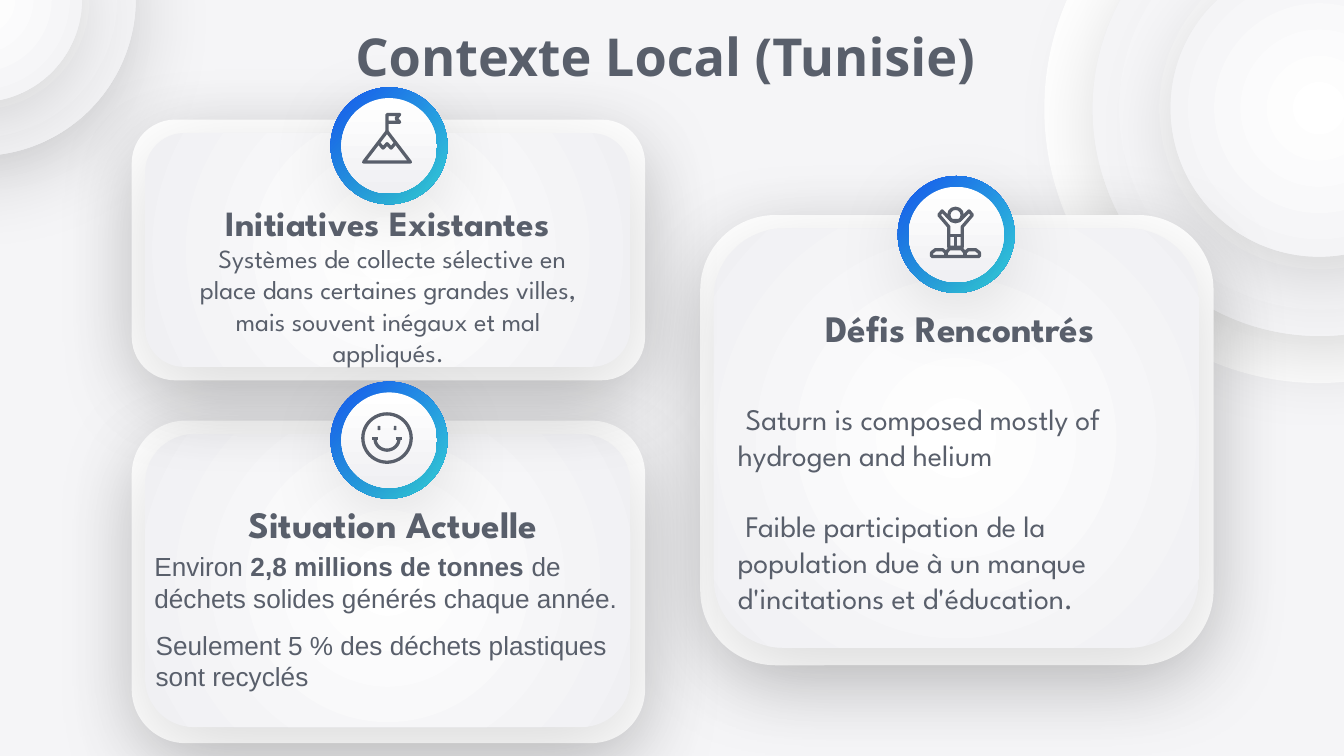
"""Build the slide on the local context of waste sorting in Tunisia."""
import math
from pptx import Presentation, util as u
from pptx.dml.color import RGBColor
from pptx.enum import shapes as s, text as t
from pptx.oxml import parse_xml
from pptx.oxml.ns import nsdecls, qn

THEME = {
    "back": "F5F5F7", "white": "FFFFFF", "ink": "595F6B",
    "soft": ("FFFFFF", "F0F0F3"), "ring": ("1658F1", "36DBE0"),
    "title": 28, "head": 20, "small": 19, "large": 16, "body": 14,
    "sans": "Noto Sans", "round": "League Spartan", "plain": "Arial",
}
INK = RGBColor.from_string(THEME["ink"])
OVAL = s.MSO_SHAPE.OVAL
CARD = s.MSO_SHAPE.ROUNDED_RECTANGLE
MID, LEFT = t.PP_ALIGN.CENTER, t.PP_ALIGN.LEFT

deck = Presentation()
deck.slide_width = u.Inches(10)
deck.slide_height = deck.slide_width * 9 // 16
slide = deck.slides.add_slide(deck.slide_layouts[6])
slide.background.fill.solid()
slide.background.fill.fore_color.rgb = RGBColor.from_string(THEME["back"])


def form(kind, box, fill, angle=None, glow=True):
    """Add a shape with a solid, linear or (without angle) radial fill."""
    shape = slide.shapes.add_shape(kind, *map(u.Inches, box))
    shape.line.fill.background()
    shape.shadow.inherit = False
    if isinstance(fill, str):
        shape.fill.solid()
        shape.fill.fore_color.rgb = RGBColor.from_string(fill)
    else:
        shape.fill.gradient()
        for stop, tone in zip(shape.fill.gradient_stops, fill):
            stop.color.rgb = RGBColor.from_string(tone)
        if angle:
            shape.fill.gradient_angle = 360 - angle
        else:
            grad = shape._element.spPr.find(qn("a:gradFill"))
            grad.replace(grad.find(qn("a:lin")), parse_xml(
                f'<a:path {nsdecls("a")} path="circle"><a:fillToRect '
                'l="50000" t="50000" r="50000" b="50000"/></a:path>'))
    if glow:
        shape._element.spPr.find(qn("a:effectLst")).append(parse_xml(
            f'<a:outerShdw {nsdecls("a")} blurRad="{u.Pt(45)}" '
            f'dist="{u.Pt(11.2)}" dir="5100000" algn="bl" rotWithShape="0">'
            '<a:srgbClr val="000000"><a:alpha val="15000"/></a:srgbClr>'
            '</a:outerShdw>'))
    return shape


def write(box, lines, size, font, align=MID, left=0, first=0, gap=0):
    """Add a text box; each line is a list of (text, bold) runs."""
    frame = slide.shapes.add_textbox(*map(u.Inches, box)).text_frame
    frame.word_wrap = True
    frame.vertical_anchor = t.MSO_ANCHOR.MIDDLE
    for n, runs in enumerate(lines):
        para = frame.add_paragraph() if n else frame.paragraphs[0]
        para.alignment = align
        para.space_before = u.Pt(gap if n else 0)
        props = para._p.get_or_add_pPr()
        props.set("marL", str(u.Inches(left)))
        props.set("indent", str(u.Inches(first)))
        for words, bold in runs:
            run = para.add_run()
            run.text = words
            run.font.name, run.font.size = THEME[font], u.Pt(THEME[size])
            run.font.bold, run.font.color.rgb = bold, INK


form(OVAL, (7.77, -1.23, 4.08, 4.08), THEME["white"], glow=False)
for x, y, side in [(8.13, -0.88, 3.38), (8.71, -0.3, 2.21),
                   (-1.33, -1.18, 2.34), (-0.92, -0.77, 1.53)]:
    form(OVAL, (x, y, side, side), THEME["soft"])

wide = 3.82
for x, y, high, inner in [(5.21, 1.6, 3.35, 3.12), (0.98, 3.13, 2.4, 2.18),
                          (0.98, 0.89, 1.94, 1.74)]:
    form(CARD, (x, y, wide, high), THEME["white"])
    form(CARD, (x + 0.1, y + 0.1, wide - 0.21, inner), THEME["soft"])

for x, y in [(2.46, 2.84), (2.46, 0.65), (6.68, 1.31)]:
    form(OVAL, (x, y, 0.87, 0.87), THEME["ring"], 45, False)
    form(OVAL, (x + 0.08, y + 0.08, 0.71, 0.71), THEME["soft"], 90)

arc = [math.pi * n / 16 for n in range(17)]
smile = [(190 - 90 * math.cos(a), 192 + 88 * math.sin(a)) for a in arc]
mount, face, man = (2.69, 0.84), (2.69, 3.07), (6.92, 1.54)
strokes = [
    (mount, True, [(16, 366), (364, 366), (190, 138)]),
    (mount, False, [(128, 225), (160, 262), (190, 230), (220, 262), (252, 225)]),
    (mount, False, [(190, 138), (190, 12), (284, 12), (258, 41), (284, 70),
                    (190, 70)]),
    (face, False, smile),
    (face, False, [(80, 192), (125, 192)]),
    (face, False, [(255, 192), (300, 192)]),
    (man, True, [(90, 30), (65, 60), (140, 148), (140, 300), (240, 300),
                 (240, 148), (315, 60), (290, 30), (220, 102), (160, 102)]),
    (man, False, [(140, 215), (240, 215)]),
    (man, False, [(190, 215), (190, 300)]),
    (man, True, [(12, 368), (12, 340), (40, 318), (95, 318), (120, 340),
                 (145, 310), (235, 310), (260, 340), (285, 318), (340, 318),
                 (368, 340), (368, 368)]),
    (man, False, [(120, 340), (120, 368)]),
    (man, False, [(260, 340), (260, 368)]),
]
icons = []
for (x, y), closed, points in strokes:
    pen = slide.shapes.build_freeform(*points[0], scale=u.Inches(0.001))
    pen.add_line_segments(points[1:], close=closed)
    icons.append(pen.convert_to_shape(u.Inches(x), u.Inches(y)))
for x, y, side in [(2.7, 3.08, 0.36), (7.06, 1.55, 0.1)]:
    icons.append(form(OVAL, (x, y, side, side), THEME["white"], glow=False))
for mark in icons:
    mark.shadow.inherit = False
    mark.fill.background()
    mark.line.color.rgb, mark.line.width = INK, u.Pt(1.75)
for x in (2.81, 2.93):
    form(CARD, (x, 3.17, 0.02, 0.03), THEME["ink"], glow=False)

write((0.78, 0.21, 8.44, 0.41), [[("Contexte Local (Tunisie) ", True)]],
      "title", "sans")
for x, y, name in [(1.18, 3.69, "Situation Actuelle "),
                   (5.4, 2.23, "Défis Rencontrés ")]:
    write((x, y, 3.42, 0.41), [[(name, True)]], "head", "round",
          left=0.5, first=-0.36)
write((1.18, 1.45, 3.41, 0.41), [[("Initiatives Existantes", True)]],
      "small", "round")
write((1.31, 2.02, 3.16, 0.5),
      [[("Systèmes de collecte sélective en place dans certaines grandes "
         "villes, mais souvent inégaux et mal appliqués.", False)]],
      "body", "round", first=0.06)
write((5.39, 3.53, 3.42, 0.5),
      [[("Saturn is composed mostly of hydrogen and helium", False)],
       [("Faible participation de la population due à un manque "
         "d'incitations et d'éducation.", False)]],
      "large", "round", LEFT, first=0.06, gap=19.3)
write((1.05, 3.74, 3.75, 1.18),
      [[("Environ ", False), ("2,8 millions de tonnes", True),
        (" de déchets solides générés chaque année.", False)]],
      "body", "plain", LEFT)
write((1.06, 4.63, 3.75, 0.57),
      [[("Seulement 5 % des déchets plastiques sont recyclés", False)]],
      "body", "plain", LEFT)

deck.save("out.pptx")
